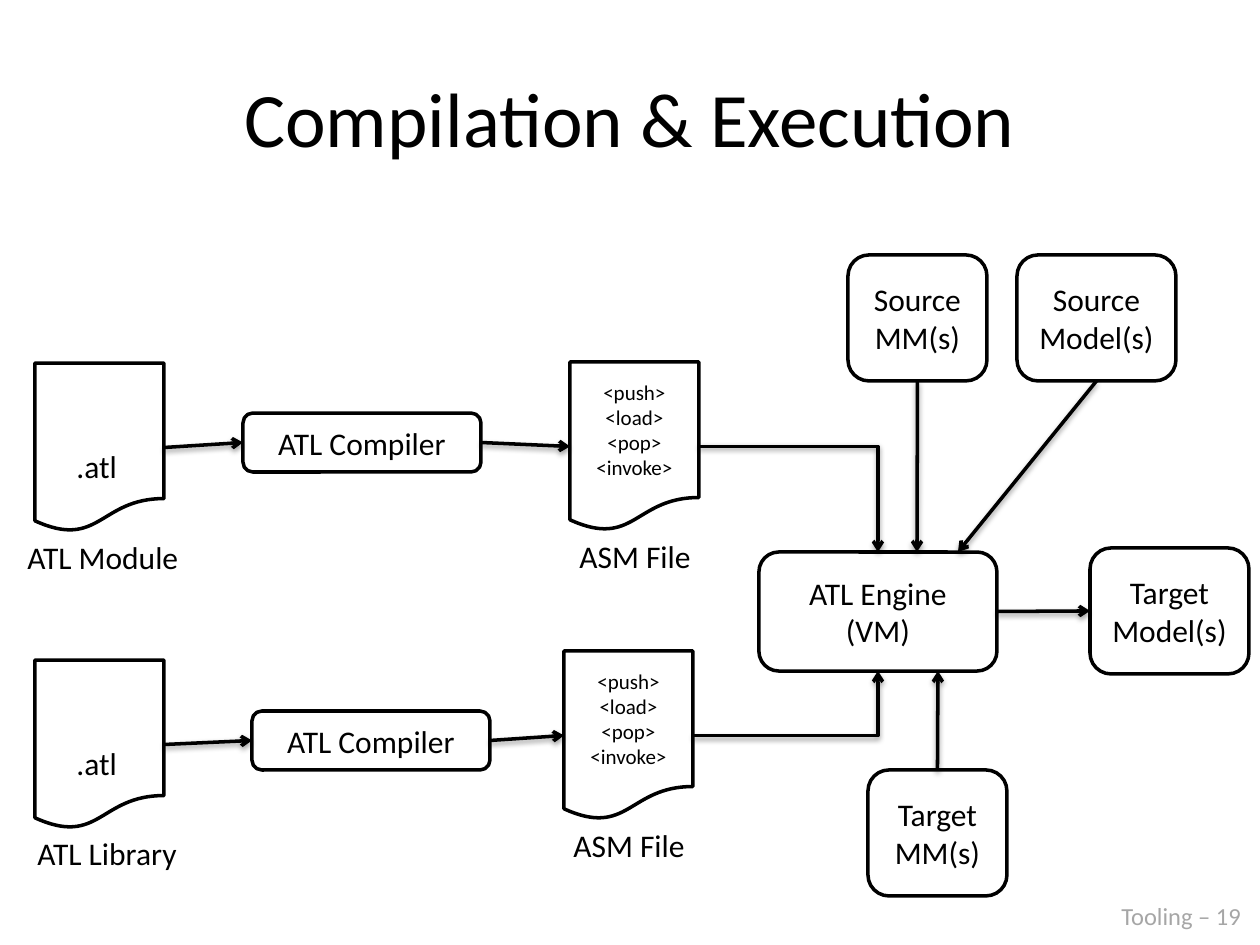
from collections import namedtuple
from dataclasses import dataclass

from lxml import etree
from pptx import Presentation
from pptx import util as u
from pptx.dml.color import RGBColor
from pptx.enum import shapes, text
from pptx.oxml import ns

Box = namedtuple("Box", "left top width height")


@dataclass(frozen=True)
class Theme:
    font: str = "Calibri"
    ink: str = "000000"
    paper: str = "FFFFFF"
    muted: str = "A6A6A6"
    title: int = 44
    body: int = 18
    footer: int = 14
    code: int = 12
    line: int = 2


THEME = Theme()
TOP, LEFT, BOTTOM, RIGHT = range(4)
ROUNDED = shapes.MSO_SHAPE.ROUNDED_RECTANGLE
DOCUMENT = shapes.MSO_SHAPE.FLOWCHART_DOCUMENT
INSTRUCTIONS = ["<push>", "<load>", "<pop>", "<invoke>"]


def px(value):
    return u.Emu(round(value * 914400 / 126))


def within(box, left, top, width, height):
    return Box(box.left + left, box.top + top, width, height)


def write(shape, lines, size, color, align):
    for index, line in enumerate(lines):
        frame = shape.text_frame
        paragraph = frame.add_paragraph() if index else frame.paragraphs[0]
        paragraph.alignment = align
        run = paragraph.add_run()
        run.text = line
        run.font.name = THEME.font
        run.font.size = u.Pt(size)
        run.font.color.rgb = RGBColor.from_string(color)


def add_label(slide, box, line, size=THEME.body, color=THEME.ink):
    shape = slide.shapes.add_textbox(*map(px, box))
    shape.text_frame.word_wrap = False
    write(shape, [line], size, color, text.PP_ALIGN.LEFT)


def add_node(slide, kind, box, lines=(), size=THEME.body):
    shape = slide.shapes.add_shape(kind, *map(px, box))
    shape.shadow.inherit = False
    shape.fill.solid()
    shape.fill.fore_color.rgb = RGBColor.from_string(THEME.paper)
    shape.line.color.rgb = RGBColor.from_string(THEME.ink)
    shape.line.width = u.Pt(THEME.line)
    shape.text_frame.vertical_anchor = text.MSO_ANCHOR.MIDDLE
    write(shape, lines, size, THEME.ink, text.PP_ALIGN.CENTER)
    return shape


def add_arrow(slide, start, side, end=None, end_side=None, point=(0, 0), bent=False):
    kind = shapes.MSO_CONNECTOR.ELBOW if bent else shapes.MSO_CONNECTOR.STRAIGHT
    x, y = map(px, point)
    arrow = slide.shapes.add_connector(kind, x, y, x, y)
    arrow.begin_connect(start, side)
    if end is not None:
        arrow.end_connect(end, end_side)
    arrow.line.color.rgb = RGBColor.from_string(THEME.ink)
    arrow.line.width = u.Pt(THEME.line)
    properties = arrow._element.spPr
    if bent:
        properties.find(ns.qn("a:prstGeom")).set("prst", "bentConnector2")
    outline = properties.find(ns.qn("a:ln"))
    etree.SubElement(outline, ns.qn("a:tailEnd"), type="arrow")
    effects = etree.SubElement(properties, ns.qn("a:effectLst"))
    shadow = etree.SubElement(effects, ns.qn("a:outerShdw"), blurRad="40000",
                              dist="20000", dir="5400000", rotWithShape="0")
    color = etree.SubElement(shadow, ns.qn("a:srgbClr"), val=THEME.ink)
    etree.SubElement(color, ns.qn("a:alpha"), val="38000")


def add_title(slide, box):
    shape = slide.shapes.add_textbox(*map(px, box))
    shape.text_frame.word_wrap = True
    shape.text_frame.vertical_anchor = text.MSO_ANCHOR.MIDDLE
    write(shape, ["Compilation & Execution"], THEME.title, THEME.ink, text.PP_ALIGN.CENTER)


def add_compilation(slide, box, caption, caption_box, compiler_at, file_at):
    source = add_node(slide, DOCUMENT, within(box, 0, 0, 129, 169))
    add_label(slide, within(box, 29, 78, 67, 51), ".atl")
    add_label(slide, within(box, *caption_box), caption)
    compiler = add_node(slide, ROUNDED, within(box, *compiler_at, 238, 59), ["ATL Compiler"])
    file_box = within(box, *file_at, 129, 169)
    assembly = add_node(slide, DOCUMENT, file_box, INSTRUCTIONS, THEME.code)
    add_label(slide, within(file_box, -3, 169, 137, 51), "ASM File")
    add_arrow(slide, source, RIGHT, compiler, LEFT)
    add_arrow(slide, compiler, RIGHT, assembly, LEFT)
    return assembly


def add_execution(slide, box, module_file, library_file):
    engine = add_node(slide, ROUNDED, within(box, 0, 297, 238, 119), ["ATL Engine", "(VM)"])
    source_mm = add_node(slide, ROUNDED, within(box, 89, 0, 139, 126), ["Source", "MM(s)"])
    source_model = add_node(slide, ROUNDED, within(box, 258, 0, 159, 126), ["Source", "Model(s)"])
    target_mm = add_node(slide, ROUNDED, within(box, 109, 515, 139, 126), ["Target", "MM(s)"])
    target_model = add_node(slide, ROUNDED, within(box, 331, 293, 159, 126), ["Target", "Model(s)"])
    add_arrow(slide, module_file, RIGHT, engine, TOP, bent=True)
    add_arrow(slide, library_file, RIGHT, engine, BOTTOM, bent=True)
    for start, side, x, y in ((source_mm, BOTTOM, 158, 297),
                              (source_model, BOTTOM, 199, 297),
                              (target_mm, TOP, 179, 416)):
        add_arrow(slide, start, side, point=(box.left + x, box.top + y))
    add_arrow(slide, engine, RIGHT, target_model, LEFT)


def main():
    presentation = Presentation()
    presentation.slide_width, presentation.slide_height = px(1260), px(945)
    slide = presentation.slides.add_slide(presentation.slide_layouts[6])
    add_title(slide, Box(63, 38, 1134, 157))
    module_file = add_compilation(slide, Box(35, 363, 664, 220), "ATL Module",
                                  (-20, 169, 178, 51), (208, 50), (535, -1))
    library_file = add_compilation(slide, Box(35, 660, 658, 220), "ATL Library",
                                   (-10, 168, 166, 51), (217, 51), (529, -9))
    add_execution(slide, Box(759, 255, 490, 641), module_file, library_file)
    add_label(slide, Box(1109, 895, 151, 43), "Tooling – 19", THEME.footer, THEME.muted)
    presentation.save("out.pptx")


if __name__ == "__main__":
    main()
